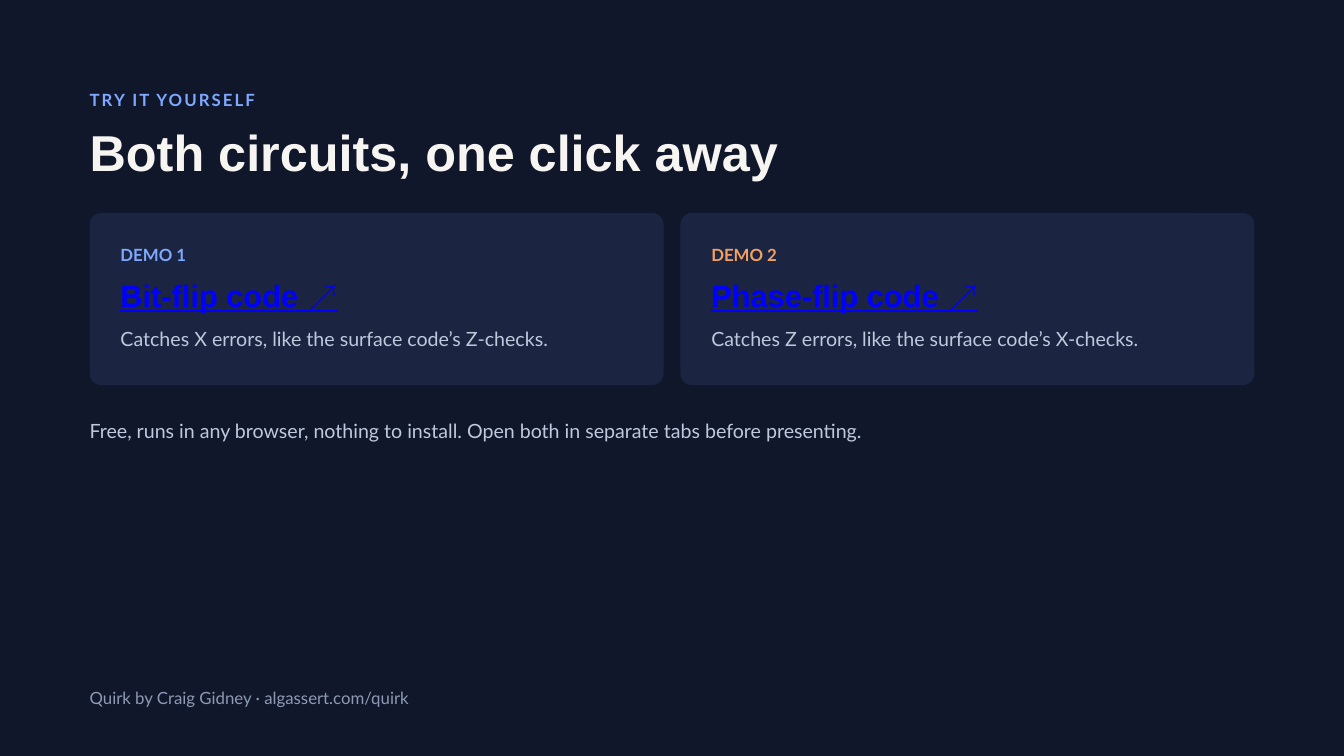
from pptx import Presentation
from pptx.dml.color import RGBColor
from pptx.enum.shapes import MSO_SHAPE
from pptx.enum.text import MSO_AUTO_SIZE
from pptx.util import Inches, Pt

WIDE, HIGH = 20, 11.25
EDGE = WIDE / 15
GAP = 0.25
CARD_W = (WIDE - 2 * EDGE - GAP) / 2
CARD_H = 2.56
TEXT_W = 17.85

INK = {
    "back": "10172A",
    "card": "1B2440",
    "blue": "7FA8FF",
    "orange": "F2A065",
    "white": "F6F5F1",
    "link": "0000FF",
    "body": "BFC8DC",
    "muted": "8E9AB5",
}

STYLES = {
    "label": ("Lato", 18, 25.2, 0.43, True),
    "title": ("Arial", 54, 59.4, 0.85, True),
    "link": ("Arial", 33, 39.6, 0.62, True),
    "body": ("Lato", 21, 29.4, 0.5, False),
    "note": ("Lato", 18, 25.2, 0.43, False),
}

DEMOS = [
    ("DEMO 1", "blue", "Bit-flip code ↗",
     "Catches X errors, like the surface code’s Z-checks."),
    ("DEMO 2", "orange", "Phase-flip code ↗",
     "Catches Z errors, like the surface code’s X-checks."),
]


def color(name):
    return RGBColor.from_string(INK[name])


def write(slide, left, top, width, text, style, ink):
    face, size, pitch, height, bold = STYLES[style]
    box = slide.shapes.add_textbox(
        Inches(left), Inches(top), Inches(width), Inches(height))
    frame = box.text_frame
    frame.margin_left = frame.margin_right = 0
    frame.margin_top = frame.margin_bottom = 0
    frame.word_wrap = True
    frame.auto_size = MSO_AUTO_SIZE.SHAPE_TO_FIT_TEXT
    frame.text = text
    line = frame.paragraphs[0]
    line.line_spacing = Pt(pitch)
    run = line.runs[0]
    run.font.name = face
    run.font.size = Pt(size)
    run.font.bold = bold
    run.font.color.rgb = color(ink)
    return run


def header(slide, left, top, width):
    label = write(slide, left, top, width, "TRY IT YOURSELF", "label", "blue")
    label.font._element.set("spc", "220")
    write(slide, left, top + 0.58, width,
          "Both circuits, one click away", "title", "white")


def card(slide, left, top, width, height, demo):
    label, ink, name, about = demo
    panel = slide.shapes.add_shape(
        MSO_SHAPE.ROUNDED_RECTANGLE,
        Inches(left), Inches(top), Inches(width), Inches(height))
    panel.adjustments[0] = 0.17 / height
    panel.shadow.inherit = False
    panel.fill.solid()
    panel.fill.fore_color.rgb = color("card")
    panel.line.fill.background()
    inner, span = left + 0.46, width * 0.92
    write(slide, inner, top + 0.42, span, label, "label", ink)
    link = write(slide, inner, top + 0.95, span, name, "link", "link")
    link.font.underline = True
    write(slide, inner, top + 1.64, span, about, "body", "body")


def cards(slide, left, top):
    for col, demo in enumerate(DEMOS):
        card(slide, left + col * (CARD_W + GAP), top, CARD_W, CARD_H, demo)


def footer(slide, left, top, width):
    write(slide, left, top, width,
          "Quirk by Craig Gidney · algassert.com/quirk", "note", "muted")


def main():
    deck = Presentation()
    deck.slide_width, deck.slide_height = Inches(WIDE), Inches(HIGH)
    slide = deck.slides.add_slide(deck.slide_layouts[6])
    slide.background.fill.solid()
    slide.background.fill.fore_color.rgb = color("back")
    header(slide, EDGE, 1.29, TEXT_W)
    cards(slide, EDGE, 3.17)
    write(slide, EDGE, 6.18, TEXT_W,
          "Free, runs in any browser, nothing to install. "
          "Open both in separate tabs before presenting.", "body", "body")
    footer(slide, EDGE, 10.19, TEXT_W)
    deck.save("out.pptx")


if __name__ == "__main__":
    main()
